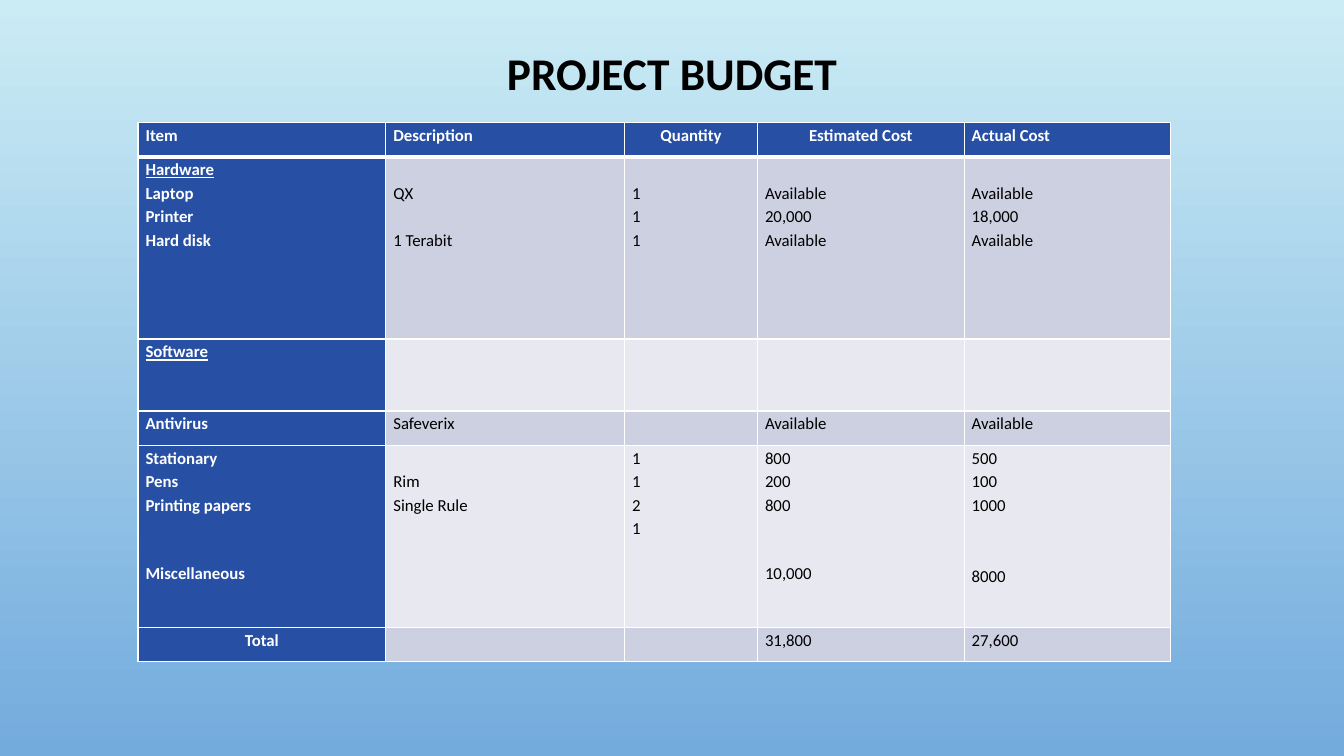
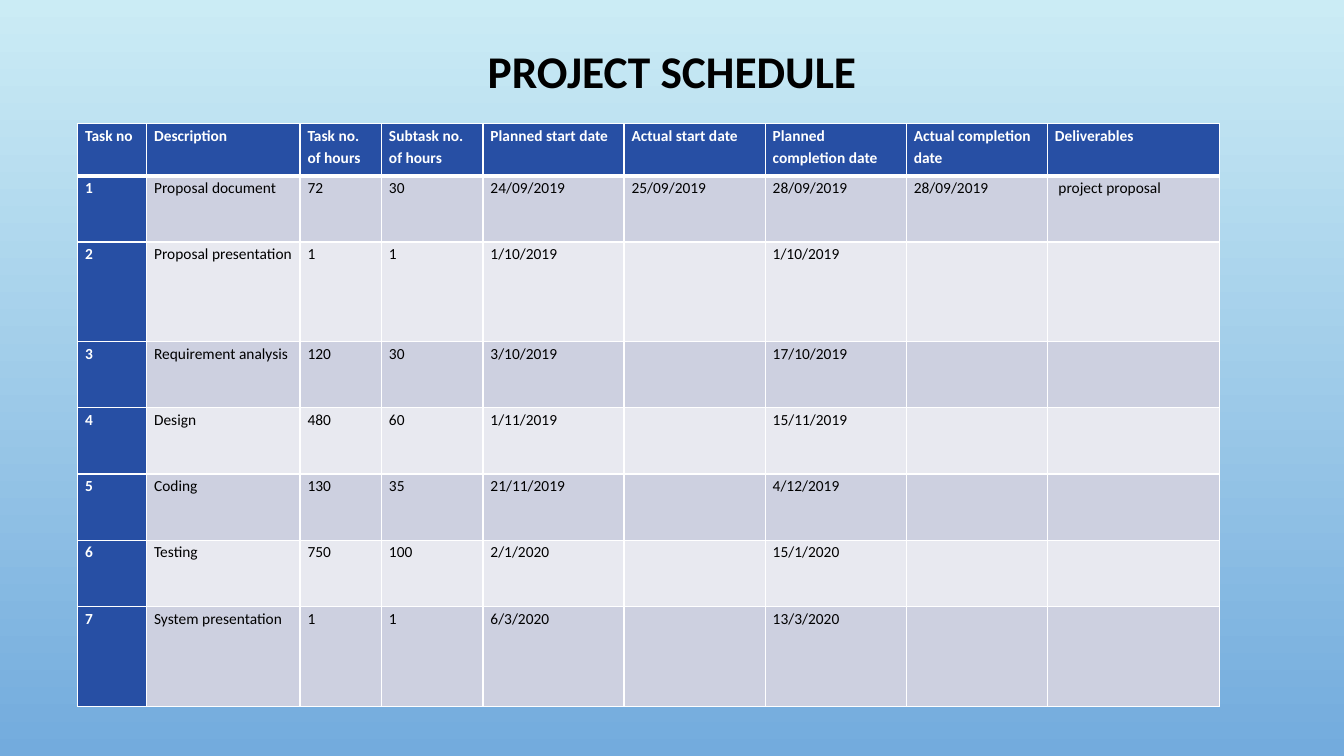
"""Build the project budget and project schedule slides."""
from dataclasses import dataclass

from lxml import etree
from pptx import Presentation
from pptx.dml.color import RGBColor
from pptx.enum import text
from pptx.oxml.ns import qn
from pptx.util import Pt


@dataclass(frozen=True)
class Theme:
    """Colours, type and spacing shared by both slides."""
    font: str = "Calibri"
    sky: str = "CBECF5"
    deep: str = "73ABDD"
    head: str = "274FA4"
    bands: tuple = ("CDD0E0", "E8E9F0")
    ink: str = "000000"
    white: str = "FFFFFF"
    title: float = 32.4
    lead: float = 1.15
    pitch: float = 1.22
    inset: float = 5.4
    thin: int = 1
    thick: int = 3


T = Theme()
WIDE, HIGH = 960, 540

# A cell is one line of text, or a list of lines; a pair is (lines skipped, text).
BUDGET = {
    "title": "PROJECT BUDGET",
    "top": 33,
    "at": (98.6, 87.5),
    "size": 12,
    "cols": [177, 170.5, 95, 147.6, 147.6],
    "rows": [24.5, 130.1, 51.5, 24.5, 130.1, 24.5],
    "centre": {"Quantity", "Estimated Cost", "Total"},
    "under": {"Hardware", "Software"},
    "cells": [
        ["Item", "Description", "Quantity", "Estimated Cost", "Actual Cost"],
        [["Hardware", "Laptop", "Printer", "Hard disk"],
         [(1, "QX"), (1, "1 Terabit")],
         [(1, "1"), "1", "1"],
         [(1, "Available"), "20,000", "Available"],
         [(1, "Available"), "18,000", "Available"]],
        ["Software", "", "", "", ""],
        ["Antivirus", "Safeverix", "", "Available", "Available"],
        [["Stationary", "Pens", "Printing papers", (1.9, "Miscellaneous")],
         [(1, "Rim"), "Single Rule"],
         ["1", "1", "2", "1"],
         ["800", "200", "800", (1.9, "10,000")],
         ["500", "100", "1000", (2, "8000")]],
        ["Total", "", "", "31,800", "27,600"],
    ],
}

SCHEDULE = {
    "title": "PROJECT SCHEDULE",
    "top": 32,
    "at": (55.4, 88.4),
    "size": 11,
    "cols": [49.3, 109.6, 58.2, 72.5] + [100.8] * 4 + [123],
    "rows": [37.2, 47.3, 71.2] + [47.3] * 4 + [71.2],
    "centre": set(),
    "under": set(),
    "cells": [
        ["Task no", "Description", "Task no. of hours", "Subtask no. of hours",
         "Planned start date", "Actual start date", "Planned completion date",
         "Actual completion date", "Deliverables"],
        ["1", "Proposal document", "72", "30", "24/09/2019", "25/09/2019",
         "28/09/2019", "28/09/2019", " project proposal"],
        ["2", "Proposal presentation", "1", "1", "1/10/2019", "", "1/10/2019", "", ""],
        ["3", "Requirement analysis", "120", "30", "3/10/2019", "", "17/10/2019", "", ""],
        ["4", "Design", "480", "60", "1/11/2019", "", "15/11/2019", "", ""],
        ["5", "Coding", "130", "35", "21/11/2019", "", "4/12/2019", "", ""],
        ["6", "Testing", "750", "100", "2/1/2020", "", "15/1/2020", "", ""],
        ["7", "System presentation", "1", "1", "6/3/2020", "", "13/3/2020", "", ""],
    ],
}


def rgb(code):
    """Turn a hex code into a colour."""
    return RGBColor.from_string(code)


def write(para, words, size, ink, bold, under=False):
    """Add one formatted run to a paragraph."""
    run = para.add_run()
    run.text = words
    font = run.font
    font.name, font.size, font.bold = T.font, Pt(size), bold
    font.color.rgb = rgb(ink)
    if under:
        font.underline = True


def edge(cell, row):
    """Rule a cell in white, heavier under the header row."""
    props = cell._tc.get_or_add_tcPr()
    heavy = {"T": row == 1, "B": row == 0}
    for spot, side in enumerate("LRTB"):
        width = T.thick if heavy.get(side) else T.thin
        line = etree.Element(qn(f"a:ln{side}"), w=str(Pt(width)))
        fill = etree.SubElement(line, qn("a:solidFill"))
        etree.SubElement(fill, qn("a:srgbClr"), val=T.white)
        props.insert(spot, line)


def fill_cell(cell, value, row, col, data):
    """Colour one cell and set its lines of text."""
    head = row == 0 or col == 0
    cell.fill.solid()
    cell.fill.fore_color.rgb = rgb(T.head if head else T.bands[(row - 1) % 2])
    cell.margin_left = cell.margin_right = Pt(T.inset)
    cell.margin_top = cell.margin_bottom = 0
    edge(cell, row)
    step = data["size"] * T.pitch * T.lead
    frame = cell.text_frame
    lines = value if isinstance(value, list) else [value]
    for num, item in enumerate(lines):
        skip, words = item if isinstance(item, tuple) else (0, item)
        para = frame.add_paragraph() if num else frame.paragraphs[0]
        para.line_spacing = T.lead
        if skip and num:
            para.space_before = Pt(round(skip * step, 1))
        elif skip:
            cell.margin_top = Pt(round(skip * step, 1))
        if words in data["centre"]:
            para.alignment = text.PP_ALIGN.CENTER
        if words:
            write(para, words, data["size"], T.white if head else T.ink,
                  head, words in data["under"])


def add_title(slide, words, top):
    """Place and format the slide title."""
    box = slide.shapes.title
    box.left, box.top, box.width, box.height = Pt(72), Pt(top), Pt(816), Pt(42)
    frame = box.text_frame
    frame.auto_size = text.MSO_AUTO_SIZE.NONE
    frame.vertical_anchor = text.MSO_ANCHOR.MIDDLE
    para = frame.paragraphs[0]
    para.alignment = text.PP_ALIGN.CENTER
    para.line_spacing = 0.9
    write(para, words, T.title, T.ink, True)


def add_grid(slide, data):
    """Add the slide's table."""
    cols, rows = data["cols"], data["rows"]
    left, top = data["at"]
    grid = slide.shapes.add_table(len(rows), len(cols), Pt(left), Pt(top),
                                  Pt(sum(cols)), Pt(sum(rows))).table
    grid.first_col = True
    for col, width in zip(grid.columns, cols):
        col.width = Pt(width)
    for row, height in zip(grid.rows, rows):
        row.height = Pt(height)
    for r, line in enumerate(data["cells"]):
        for c, value in enumerate(line):
            fill_cell(grid.cell(r, c), value, r, c, data)


def paint(master):
    """Give the master its vertical gradient."""
    fill = master.background.fill
    fill.gradient()
    fill.gradient_angle = 270
    for stop, code in zip(fill.gradient_stops, (T.sky, T.deep)):
        stop.color.rgb = rgb(code)


def main():
    """Build and save the deck."""
    deck = Presentation()
    deck.slide_width, deck.slide_height = Pt(WIDE), Pt(HIGH)
    paint(deck.slide_master)
    for data in (BUDGET, SCHEDULE):
        slide = deck.slides.add_slide(deck.slide_layouts[5])
        add_title(slide, data["title"], data["top"])
        add_grid(slide, data)
    deck.save("out.pptx")


if __name__ == "__main__":
    main()
